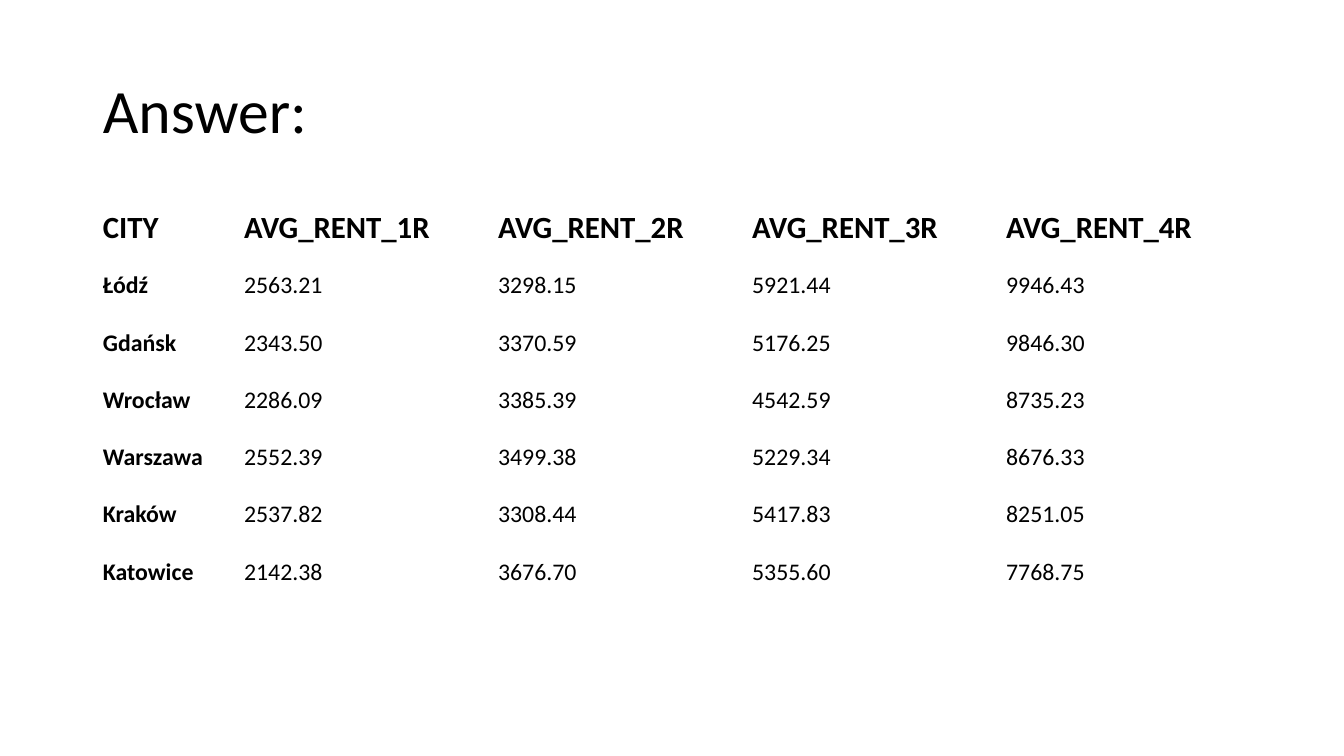
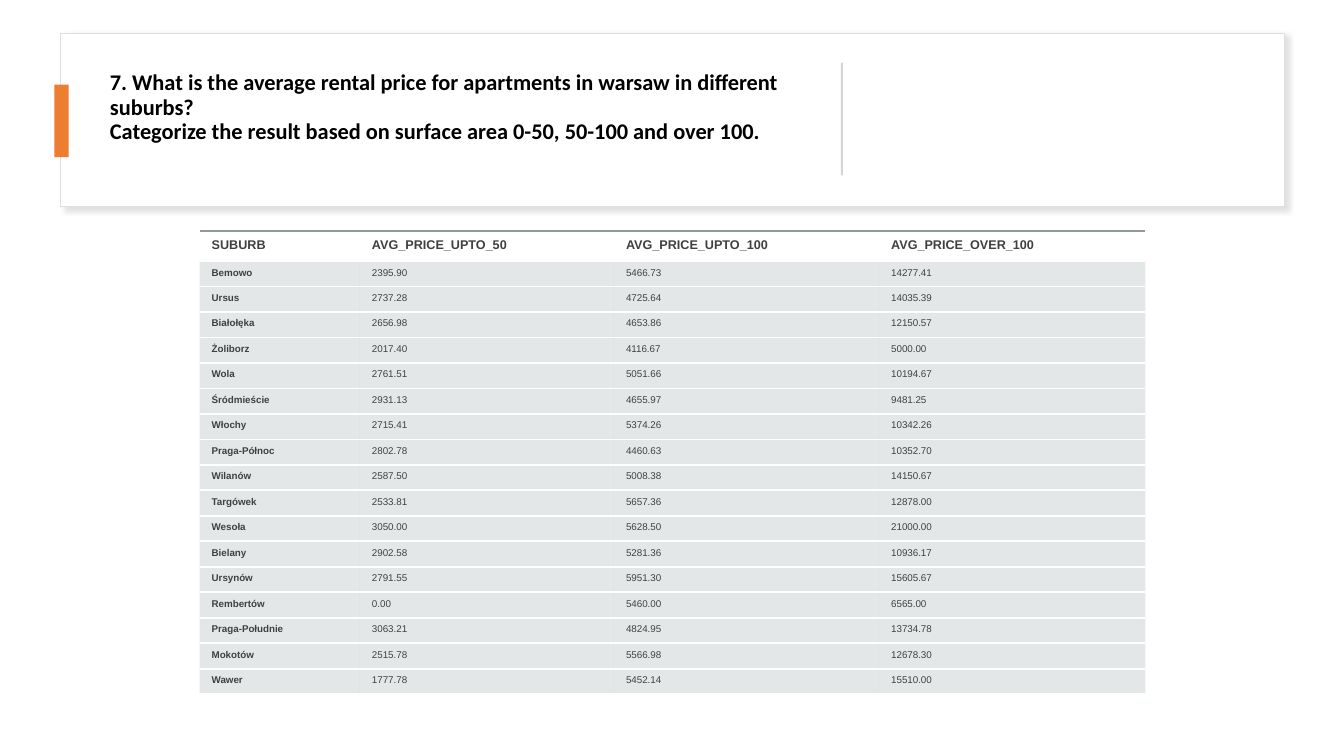
from lxml import etree
from pptx import Presentation
from pptx.dml.color import RGBColor
from pptx.enum.shapes import MSO_SHAPE
from pptx.enum.text import MSO_ANCHOR, MSO_AUTO_SIZE, PP_ALIGN
from pptx.oxml.ns import qn
from pptx.util import Emu, Pt

RECTANGLE = MSO_SHAPE.RECTANGLE
TOP, MIDDLE, BOTTOM = MSO_ANCHOR.TOP, MSO_ANCHOR.MIDDLE, MSO_ANCHOR.BOTTOM
LEFT = PP_ALIGN.LEFT
NO_AUTOFIT = MSO_AUTO_SIZE.NONE

PX = 9144  # 100 px to the inch
SLIDE_SIZE = (1333, 750)
TITLE_ONLY = 5
PLAIN_TABLE_STYLE = "{2D5ABB26-0587-4C30-8999-92F81FD0307C}"

BLACK, WHITE, DARK_GREY = "000000", "FFFFFF", "404040"
ORANGE, CARD_LINE, DIVIDER_GREY = "ED7D31", "DEDEDE", "D5D5D5"
ROW_GREY, RULE_GREY, SHADOW_GREY = "B4BCBE", "8F9A9D", "C5C3C3"

CITY_TITLE = ["Answer:"]
CITY_RENTS = [
    ("CITY", "AVG_RENT_1R", "AVG_RENT_2R", "AVG_RENT_3R", "AVG_RENT_4R"),
    ("Łódź", "2563.21", "3298.15", "5921.44", "9946.43"),
    ("Gdańsk", "2343.50", "3370.59", "5176.25", "9846.30"),
    ("Wrocław", "2286.09", "3385.39", "4542.59", "8735.23"),
    ("Warszawa", "2552.39", "3499.38", "5229.34", "8676.33"),
    ("Kraków", "2537.82", "3308.44", "5417.83", "8251.05"),
    ("Katowice", "2142.38", "3676.70", "5355.60", "7768.75"),
]
SUBURB_TITLE = [
    "7. What is the average rental price for apartments in warsaw in different suburbs?",
    "Categorize the result based on surface area 0-50, 50-100 and over 100.",
]
SUBURB_PRICES = [
    ("SUBURB", "AVG_PRICE_UPTO_50", "AVG_PRICE_UPTO_100", "AVG_PRICE_OVER_100"),
    ("Bemowo", "2395.90", "5466.73", "14277.41"),
    ("Ursus", "2737.28", "4725.64", "14035.39"),
    ("Białołęka", "2656.98", "4653.86", "12150.57"),
    ("Żoliborz", "2017.40", "4116.67", "5000.00"),
    ("Wola", "2761.51", "5051.66", "10194.67"),
    ("Śródmieście", "2931.13", "4655.97", "9481.25"),
    ("Włochy", "2715.41", "5374.26", "10342.26"),
    ("Praga-Północ", "2802.78", "4460.63", "10352.70"),
    ("Wilanów", "2587.50", "5008.38", "14150.67"),
    ("Targówek", "2533.81", "5657.36", "12878.00"),
    ("Wesoła", "3050.00", "5628.50", "21000.00"),
    ("Bielany", "2902.58", "5281.36", "10936.17"),
    ("Ursynów", "2791.55", "5951.30", "15605.67"),
    ("Rembertów", "0.00", "5460.00", "6565.00"),
    ("Praga-Południe", "3063.21", "4824.95", "13734.78"),
    ("Mokotów", "2515.78", "5566.98", "12678.30"),
    ("Wawer", "1777.78", "5452.14", "15510.00"),
]

# Margins run left, top, right, bottom; borders are (edge, colour, opacity).
CITY_TABLE = {
    "box": (92, 200, 1150, 407),
    "columns": (140, 252, 252, 252, 252),
    "header_height": 66,
    "font": "Calibri",
    "colour": BLACK,
    "header": {"size": 22, "margins": (10, 3, 4, 21), "anchor": BOTTOM,
               "fill": None, "borders": []},
    "body": {"size": 17, "margins": (10, 3, 4, 21), "anchor": TOP,
             "fill": None, "borders": []},
}
SUBURB_TABLE = {
    "box": (198, 229, 938, 460),
    "columns": (159, 252, 263, 264),
    "header_height": 30,
    "font": "Arial",
    "colour": DARK_GREY,
    "header": {"size": 9, "margins": (12, 7, 7, 7), "anchor": TOP,
               "fill": None, "borders": [("lnT", RULE_GREY, 60)]},
    "body": {"size": 7, "margins": (12, 6, 6, 6), "anchor": TOP,
             "fill": (ROW_GREY, 35),
             "borders": [("lnT", WHITE, 100), ("lnB", WHITE, 100)]},
}


def rgb(colour):
    return RGBColor.from_string(colour)


def px(*lengths):
    return [Emu(round(length * PX)) for length in lengths]


def set_attributes(target, values):
    for name, value in values.items():
        setattr(target, name, value)


def format_font(font, name, size, colour, bold):
    set_attributes(font, {"name": name, "size": Pt(size), "bold": bold})
    font.color.rgb = rgb(colour)


def add_colour(parent, colour, opacity):
    element = etree.SubElement(parent, qn("a:srgbClr"), val=colour)
    etree.SubElement(element, qn("a:alpha"), val=str(opacity * 1000))


def add_slide(presentation):
    return presentation.slides.add_slide(presentation.slide_layouts[TITLE_ONLY])


def set_title(slide, lines, box, size, bold):
    """Fill the title placeholder and bring it in front of the shapes so far."""
    title = slide.shapes.title
    slide.shapes._spTree.append(title._element)
    set_attributes(title, dict(zip(("left", "top", "width", "height"), px(*box))))
    frame = title.text_frame
    frame.text = "\n".join(lines)
    set_attributes(frame, {"word_wrap": True, "auto_size": NO_AUTOFIT,
                           "vertical_anchor": MIDDLE})
    for paragraph in frame.paragraphs:
        set_attributes(paragraph, {"alignment": LEFT, "line_spacing": 0.9,
                                   "space_before": Pt(0)})
        format_font(paragraph.runs[0].font, "Calibri", size, BLACK, bold)


def add_rectangle(slide, box, fill, line=None):
    shape = slide.shapes.add_shape(RECTANGLE, *px(*box))
    shape.shadow.inherit = False
    shape.fill.solid()
    shape.fill.fore_color.rgb = rgb(fill)
    if line:
        shape.line.color.rgb = rgb(line)
        shape.line.width = Pt(1)
    else:
        shape.line.fill.background()
    return shape


def add_soft_shadow(shape):
    effects = shape._element.spPr.find(qn("a:effectLst"))
    shadow = etree.SubElement(
        effects, qn("a:outerShdw"), blurRad=str(Pt(4)), dist=str(Pt(3)),
        dir=str(45 * 60000), algn="tl", rotWithShape="0")
    add_colour(shadow, SHADOW_GREY, 50)


def format_cell(cell, look):
    sides = ("margin_left", "margin_top", "margin_right", "margin_bottom")
    set_attributes(cell, dict(zip(sides, px(*look["margins"]))))
    cell.vertical_anchor = look["anchor"]
    properties = cell._tc.get_or_add_tcPr()
    for edge, colour, opacity in look["borders"]:
        border = etree.SubElement(properties, qn(f"a:{edge}"), w=str(Pt(1.5)))
        add_colour(etree.SubElement(border, qn("a:solidFill")), colour, opacity)
    if look["fill"]:
        add_colour(etree.SubElement(properties, qn("a:solidFill")), *look["fill"])
    else:
        etree.SubElement(properties, qn("a:noFill"))


def add_data_table(slide, rows, design):
    frame = slide.shapes.add_table(len(rows), len(rows[0]), *px(*design["box"]))
    table = frame.table
    table.horz_banding = False
    table._tbl.tblPr.find(qn("a:tableStyleId")).text = PLAIN_TABLE_STYLE
    for column, width in zip(table.columns, design["columns"]):
        column.width = px(width)[0]
    header_height = design["header_height"]
    body_height = (design["box"][3] - header_height) / (len(rows) - 1)
    for row_index, values in enumerate(rows):
        is_header = row_index == 0
        look = design["header" if is_header else "body"]
        table.rows[row_index].height = px(header_height if is_header else body_height)[0]
        for column_index, value in enumerate(values):
            cell = table.cell(row_index, column_index)
            cell.text = value
            format_cell(cell, look)
            format_font(cell.text_frame.paragraphs[0].runs[0].font, design["font"],
                        look["size"], design["colour"], is_header or column_index == 0)


def build_city_slide(presentation):
    slide = add_slide(presentation)
    set_title(slide, CITY_TITLE, (92, 40, 1150, 145), 44, False)
    add_data_table(slide, CITY_RENTS, CITY_TABLE)


def build_suburb_slide(presentation):
    slide = add_slide(presentation)
    card = add_rectangle(slide, (60, 33, 1214, 172), WHITE, CARD_LINE)
    add_soft_shadow(card)
    set_title(slide, SUBURB_TITLE, (99, 32, 703, 150), 16, True)
    add_rectangle(slide, (54, 84, 14, 72), ORANGE)
    add_rectangle(slide, (834, 62, 2, 112), DIVIDER_GREY)
    add_data_table(slide, SUBURB_PRICES, SUBURB_TABLE)


def main():
    presentation = Presentation()
    presentation.slide_width, presentation.slide_height = px(*SLIDE_SIZE)
    build_city_slide(presentation)
    build_suburb_slide(presentation)
    presentation.save("out.pptx")


if __name__ == "__main__":
    main()
